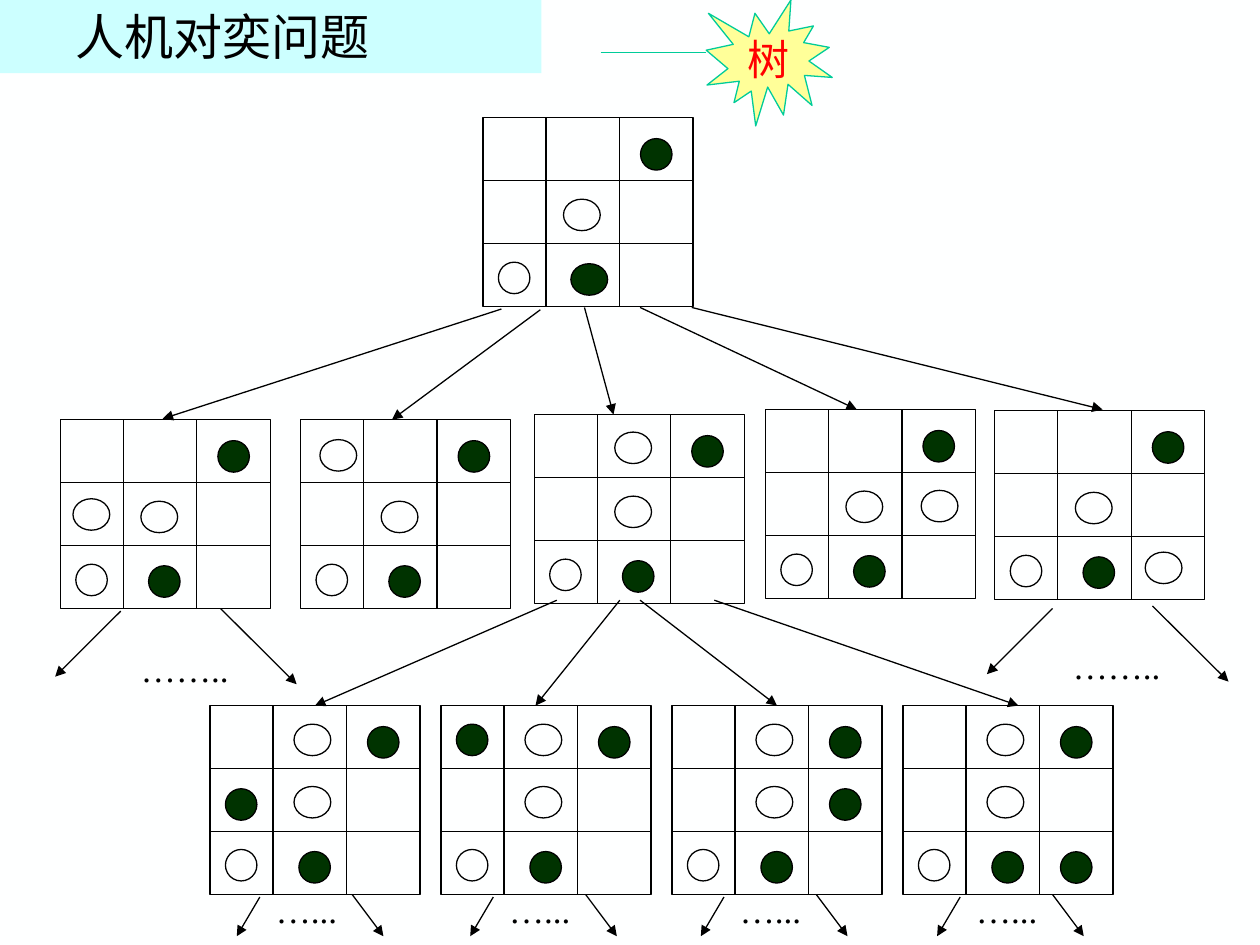
from pptx import Presentation
from pptx.dml.color import RGBColor
from pptx.enum import shapes, text
from pptx.oxml import ns, xmlchemy
from pptx.util import Pt

BLACK, DARK, WHITE, TEAL = "000000", "003300", "FEFFFF", "00CC99"
SHAPE = shapes.MSO_SHAPE
COLS, ROWS = (0, 36, 78, 120), (0, 36, 72, 108)
FRAME = COLS[-1], ROWS[-1]

# Pieces as (left, top, width, colour) within a board
CORE = [(90, 12, 18, DARK), (46, 46.6, 21, WHITE), (8.8, 82.6, 18, WHITE)]
ROOT = CORE + [(50.2, 83.5, 21, DARK)]
MIDDLE = CORE + [(50.4, 83.5, 18, DARK)]
LOWER = [(90, 12, 18, DARK), (48, 46.2, 21, WHITE), (8.8, 82.2, 18, WHITE),
         (50.8, 83.4, 18, DARK), (48, 10.6, 21, WHITE)]

# Second row: board corner, added white piece, arrow start and end
MOVES = [
    ((34.5, 239.8), (7.2, 45.2), (286.5, 176.6), (93, 239.3)),
    ((171.8, 239.8), (11, 11.4), (308.8, 177), (224, 239.8)),
    ((305.3, 236.9), (46, 10), (334, 175.7), (350.6, 236.9)),
    ((437.4, 234), (89, 46.2), (365.8, 175.7), (489.6, 234)),
    ((568.5, 234.7), (85.9, 80.8), (395.3, 175.7), (630, 234)),
]
# Third row: added dark piece, arrow start and end
REPLIES = [
    ((8.8, 47.5), (318.2, 343), (180, 403.2)),
    ((8.8, 10.6), (354.2, 343), (306, 403.2)),
    ((90, 47.5), (365.8, 343), (444, 403.2)),
    ((90, 83.5), (408.2, 343), (582, 403.2)),
]


def rgb(code):
    return RGBColor.from_string(code)


def add_line(parent, start, end, color=BLACK, arrow=False):
    c = parent.add_connector(shapes.MSO_CONNECTOR.STRAIGHT,
                             *(Pt(v) for v in (*start, *end)))
    c.line.color.rgb = rgb(color)
    c.line.width = Pt(0.75)
    sp_pr = c._element.spPr
    if arrow:
        tail = xmlchemy.OxmlElement("a:tailEnd")
        tail.set("type", "triangle")
        sp_pr.find(ns.qn("a:ln")).append(tail)
    sp_pr.append(xmlchemy.OxmlElement("a:effectLst"))


def add_outlined(parent, kind, box, fill=None, line=BLACK):
    sp = parent.add_shape(kind, *(Pt(v) for v in box))
    sp.shadow.inherit = False
    if fill:
        sp.fill.solid()
        sp.fill.fore_color.rgb = rgb(fill)
    else:
        sp.fill.background()
    sp.line.color.rgb = rgb(line)
    sp.line.width = Pt(0.75)
    return sp


def write(p, words, size, font, color):
    p.text = words
    p.font.size = Pt(size)
    p.font.name = font
    p.font.color.rgb = rgb(color)


def add_board(s, corner, pieces):
    x, y = corner
    width, height = FRAME
    group = s.shapes.add_group_shape().shapes
    add_outlined(group, SHAPE.RECTANGLE, (x, y, width, height))
    for row in ROWS[1:-1]:
        add_line(group, (x, y + row), (x + width, y + row))
    for col in COLS[1:-1]:
        add_line(group, (x + col, y), (x + col, y + height))
    for left, top, size, color in pieces:
        add_outlined(group, SHAPE.OVAL, (x + left, y + top, size, 18), color)


def add_more(s, box, dots, arrows):
    """Dots between two arrows, standing for further branches."""
    x, y, width, height = box
    for start, end in arrows:
        add_line(s.shapes, (x + start[0], y + start[1]),
                 (x + end[0], y + end[1]), arrow=True)
    tf = s.shapes.add_textbox(*(Pt(v) for v in box)).text_frame
    tf.word_wrap = False
    tf.auto_size = text.MSO_AUTO_SIZE.SHAPE_TO_FIT_TEXT
    write(tf.paragraphs[0], dots, 20, "Times New Roman", BLACK)


def add_heading(s, box):
    title = s.shapes.title
    title.left, title.top, title.width, title.height = (Pt(v) for v in box)
    title.fill.solid()
    title.fill.fore_color.rgb = rgb("CCFFFF")
    tf = title.text_frame
    tf.margin_left = Pt(43.2)
    tf.margin_top, tf.margin_bottom = 0, Pt(1)
    tf.vertical_anchor = text.MSO_ANCHOR.MIDDLE
    p = tf.paragraphs[0]
    p.alignment = text.PP_ALIGN.LEFT
    write(p, "人机对奕问题", 28, "Noto Sans CJK SC", BLACK)


def add_burst(s, box):
    x, y, width, height = box
    sp = add_outlined(s.shapes, SHAPE.EXPLOSION1, box, "FFFF99", TEAL)
    tf = sp.text_frame
    tf.word_wrap = False
    tf.vertical_anchor = text.MSO_ANCHOR.MIDDLE
    p = tf.paragraphs[0]
    p.alignment = text.PP_ALIGN.CENTER
    write(p, "树", 24, "Times New Roman", "FF0000")
    add_line(s.shapes, (x - 60.3, y + 30), (x, y + 30), TEAL)


def add_tree(s):
    add_board(s, (276, 67.2), ROOT)
    for corner, piece, start, end in MOVES:
        add_board(s, corner, MIDDLE + [(*piece, 21, WHITE)])
        add_line(s.shapes, start, end, arrow=True)
    for i, (piece, start, end) in enumerate(REPLIES):
        add_board(s, (120 + 132 * i, 403.2), LOWER + [(*piece, 18, DARK)])
        add_line(s.shapes, start, end, arrow=True)

    wide = [((-4.5, -17.3), (-42, 20.2)), ((52.6, -18.7), (96, 24.5))]
    for x, y in ((73.5, 366.5), (606, 365)):
        add_more(s, (x, y, 64.8, 31), "……..", wide)
    narrow = [((-2, 8.6), (-15.2, 31)), ((50.8, 7.2), (68.6, 31))]
    for x in (150.5, 283.9, 415.7, 550.7):
        add_more(s, (x, 504, 49.7, 31), "…...", narrow)


def main():
    prs = Presentation()
    prs.slide_width, prs.slide_height = Pt(720), Pt(540)
    s = prs.slides.add_slide(prs.slide_layouts[5])
    s.background.fill.solid()
    s.background.fill.fore_color.rgb = rgb(WHITE)
    add_heading(s, (0, 0, 309.4, 41.8))
    add_tree(s)
    add_burst(s, (403.6, 0, 72, 72))
    prs.save("out.pptx")


if __name__ == "__main__":
    main()
